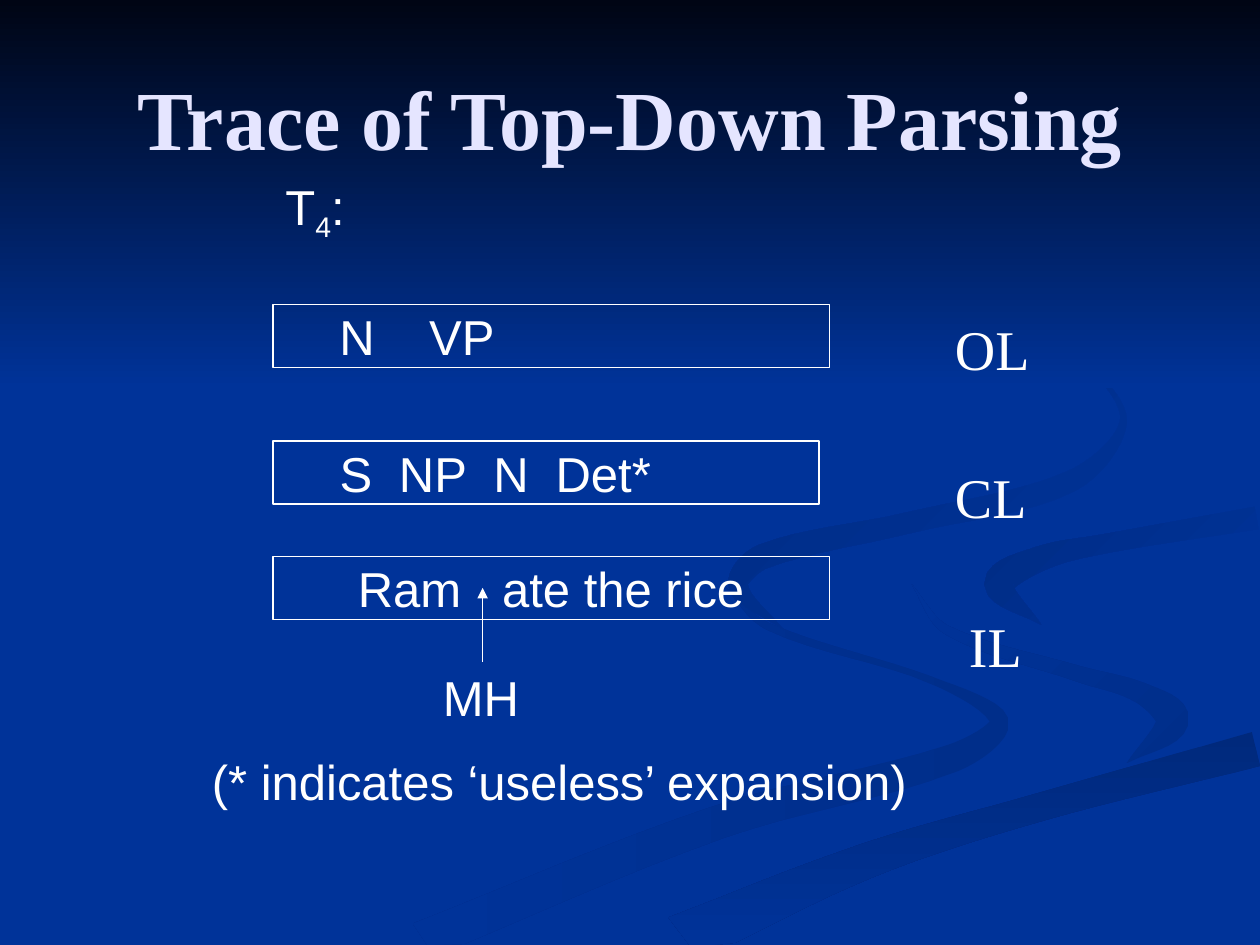
from itertools import pairwise
from math import dist, hypot

from lxml import etree
from pptx import Presentation
from pptx.dml.color import RGBColor
from pptx.enum.shapes import MSO_CONNECTOR, MSO_SHAPE
from pptx.enum.text import MSO_ANCHOR, MSO_AUTO_SIZE, PP_ALIGN
from pptx.oxml.ns import qn
from pptx.util import Pt

RECTANGLE = MSO_SHAPE.RECTANGLE
STRAIGHT = MSO_CONNECTOR.STRAIGHT
TOP, MIDDLE = MSO_ANCHOR.TOP, MSO_ANCHOR.MIDDLE
LEFT, CENTER = PP_ALIGN.LEFT, PP_ALIGN.CENTER
NO_AUTOFIT = MSO_AUTO_SIZE.NONE

WHITE = RGBColor(0xFF, 0xFF, 0xFF)
LAVENDER = RGBColor(0xE5, 0xE5, 0xFF)
BLUE = RGBColor(0x00, 0x33, 0x99)
NIGHT = RGBColor(0x00, 0x05, 0x14)
SHADE_LIGHT = RGBColor(0x00, 0x2E, 0x8A)
SHADE_MEDIUM = RGBColor(0x00, 0x2C, 0x85)
SHADE_DEEP = RGBColor(0x00, 0x2B, 0x81)
SHADE_DARK = RGBColor(0x00, 0x29, 0x7C)

SANS, SERIF = "Arial", "Times New Roman"
SLIDE_WIDTH, SLIDE_HEIGHT = 720, 540
STEPS_PER_STATION = 8
UNITS_PER_POINT = 10

# (x, y, thickness)
BLUE_BAND = [(719, 284, 10), (575, 310, 13), (542, 334, 38), (605, 367, 16),
             (690, 400, 30), (576, 456, 8), (461, 492, 14), (353, 538, 14)]
LEFT_TAIL = [(413, 334, 0), (439, 358, 4), (533, 389, 4), (571, 412, 11),
             (545, 433, 16), (410, 470, 19), (240, 538, 22)]
MIDDLE_CURL = [(521, 334, 0), (541, 360, 5), (616, 385, 9), (652, 396, 12),
               (670, 412, 19), (644, 436, 0)]
LOWER_SWEEP = [(718, 428, 20), (595, 461, 16), (495, 492, 20), (388, 538, 30)]
RIGHT_SWEEP = [(718, 296, 13), (630, 311, 11), (595, 319, 14), (571, 334, 17),
               (595, 357, 0)]
UPPER_CURL = [(549, 168, 0), (621, 209, 2), (642, 241, 4), (612, 275, 12),
              (518, 299, 12), (436, 318, 14), (422, 335, 11), (448, 360, 0)]

RIBBONS = [
    (BLUE_BAND, BLUE, BLUE, 0),
    (LEFT_TAIL, SHADE_LIGHT, BLUE, 180),
    (MIDDLE_CURL, SHADE_LIGHT, BLUE, 135),
    (LOWER_SWEEP, SHADE_DARK, BLUE, 270),
    (RIGHT_SWEEP, BLUE, SHADE_MEDIUM, 135),
    (UPPER_CURL, BLUE, SHADE_DEEP, 135),
]


def neighbours(items):
    return zip([items[0], *items[:-1]], items, [*items[1:], items[-1]])


def smooth_course(stations):
    slopes = []
    for before, here, after in neighbours(stations):
        travel = dist(before[:2], here[:2]) + dist(here[:2], after[:2])
        slopes.append([(b - a) / travel for a, b in zip(before, after)])
    course = [stations[0]]
    for (start, leave), (end, arrive) in pairwise(zip(stations, slopes)):
        length = dist(start[:2], end[:2])
        for step in range(1, STEPS_PER_STATION + 1):
            t = step / STEPS_PER_STATION
            ease = t * t * (3 - 2 * t)
            pull_start = length * t * (1 - t) ** 2
            pull_end = length * t * t * (t - 1)
            course.append([a + (b - a) * ease + pull_start * m + pull_end * n
                           for a, b, m, n in zip(start, end, leave, arrive)])
    return course


def ribbon_outline(stations):
    def on_slide(x, y):
        return (round(min(x, SLIDE_WIDTH) * UNITS_PER_POINT),
                round(min(y, SLIDE_HEIGHT) * UNITS_PER_POINT))

    near_edge, far_edge = [], []
    for before, (x, y, thickness), after in neighbours(smooth_course(stations)):
        run, rise = after[0] - before[0], after[1] - before[1]
        half = thickness / 2 / hypot(run, rise)
        near_edge.append(on_slide(x - rise * half, y + run * half))
        far_edge.append(on_slide(x + rise * half, y - run * half))
    return near_edge + far_edge[::-1]


def shade(area, start, end, angle):
    area.shadow.inherit = False
    area.line.fill.background()
    if start == end:
        area.fill.solid()
        area.fill.fore_color.rgb = start
        return
    area.fill.gradient()
    area.fill.gradient_angle = angle
    for stop, color in zip(area.fill.gradient_stops, (start, end)):
        stop.color.rgb = color


def add_backdrop(slide):
    slide.background.fill.solid()
    slide.background.fill.fore_color.rgb = BLUE
    for stations, start, end, angle in RIBBONS:
        first, *rest = ribbon_outline(stations)
        builder = slide.shapes.build_freeform(*first, scale=Pt(1 / UNITS_PER_POINT))
        builder.add_line_segments(rest, close=True)
        shade(builder.convert_to_shape(), start, end, angle)
    header = slide.shapes.add_shape(RECTANGLE, 0, 0, Pt(SLIDE_WIDTH), Pt(222))
    shade(header, NIGHT, BLUE, 270)


def add_run(paragraph, text, size, face, color=WHITE, bold=False):
    run = paragraph.add_run()
    run.text = text
    run.font.size = Pt(size)
    run.font.name = face
    run.font.color.rgb = color
    run.font.bold = bold
    return run


def place(holder, left, top, width, height, anchor):
    holder.left, holder.top = Pt(left), Pt(top)
    holder.width, holder.height = Pt(width), Pt(height)
    frame = holder.text_frame
    frame.auto_size = NO_AUTOFIT
    frame.word_wrap = True
    frame.vertical_anchor = anchor
    return frame


def fill_title(title, text):
    frame = place(title, 36, 21.6, 648, 90, MIDDLE)
    frame.paragraphs[0].alignment = CENTER
    add_run(frame.paragraphs[0], text, 48, SERIF, LAVENDER, True)


def fill_list_names(body, names):
    frame = place(body, 48, 134, 648, 356, TOP)
    frame.margin_top = Pt(50)
    for index, (name, indent) in enumerate(names):
        paragraph = frame.add_paragraph() if index else frame.paragraphs[0]
        properties = paragraph._p.get_or_add_pPr()
        properties.set("marL", str(Pt(indent)))
        properties.set("indent", "0")
        paragraph.line_spacing = 0.9
        paragraph.space_before = Pt(50.3 if index else 0)
        etree.SubElement(properties, qn("a:buNone"))
        add_run(paragraph, name, 32, SERIF)


def add_list_box(slide, top, width, inset, symbols, stops):
    box = slide.shapes.add_shape(RECTANGLE, Pt(156), Pt(top), Pt(width), Pt(36))
    box.shadow.inherit = False
    box.fill.background()
    box.line.color.rgb = WHITE
    box.line.width = Pt(0.75)
    frame = box.text_frame
    frame.margin_left = Pt(inset)
    frame.vertical_anchor = MIDDLE
    paragraph = frame.paragraphs[0]
    paragraph.alignment = LEFT
    tabs = etree.SubElement(paragraph._p.get_or_add_pPr(), qn("a:tabLst"))
    for stop in stops:
        etree.SubElement(tabs, qn("a:tab"), pos=str(Pt(stop)), algn="l")
    add_run(paragraph, "\t".join(symbols), 28, SANS)


def add_label(slide, left, top, width, height, text):
    label = slide.shapes.add_textbox(Pt(left), Pt(top), Pt(width), Pt(height))
    label.text_frame.word_wrap = True
    paragraph = label.text_frame.paragraphs[0]
    add_run(paragraph, text, 28, SANS)
    return paragraph


def add_head_arrow(slide, x, bottom, top):
    arrow = slide.shapes.add_connector(STRAIGHT, Pt(x), Pt(bottom), Pt(x), Pt(top))
    arrow.line.color.rgb = WHITE
    arrow.line.width = Pt(0.75)
    etree.SubElement(arrow.line._get_or_add_ln(), qn("a:tailEnd"), type="triangle")
    etree.SubElement(arrow.element.spPr, qn("a:effectLst"))


def main():
    deck = Presentation()
    deck.slide_width, deck.slide_height = Pt(SLIDE_WIDTH), Pt(SLIDE_HEIGHT)
    slide = deck.slides.add_slide(deck.slide_layouts[1])
    title, body = slide.placeholders
    add_backdrop(slide)
    for holder in (title, body):
        slide.shapes.element.append(holder.element)
    fill_title(title, "Trace of Top-Down Parsing")
    fill_list_names(body, [("OL", 490.5), ("CL", 490.5), ("IL", 498.5)])

    add_list_box(slide, 174, 318, 38, ["N", "VP"], [51.3])
    add_list_box(slide, 252, 312, 38, ["S", "NP", "N", "Det*"], [34, 88, 123.5])
    add_list_box(slide, 318, 318, 48.5, ["Ram", "ate the rice"], [82.5])
    add_head_arrow(slide, 275.8, 378, 336)

    step = add_label(slide, 156, 97.2, 312, 45.4, "T")
    add_run(step, "4", 28, SANS).font._element.set("baseline", "-25000")
    add_run(step, ":", 28, SANS)
    add_label(slide, 246, 378, 66, 41, "MH")
    add_label(slide, 114, 426, 420, 41, "(* indicates ‘useless’ expansion)")
    deck.save("out.pptx")


if __name__ == "__main__":
    main()
